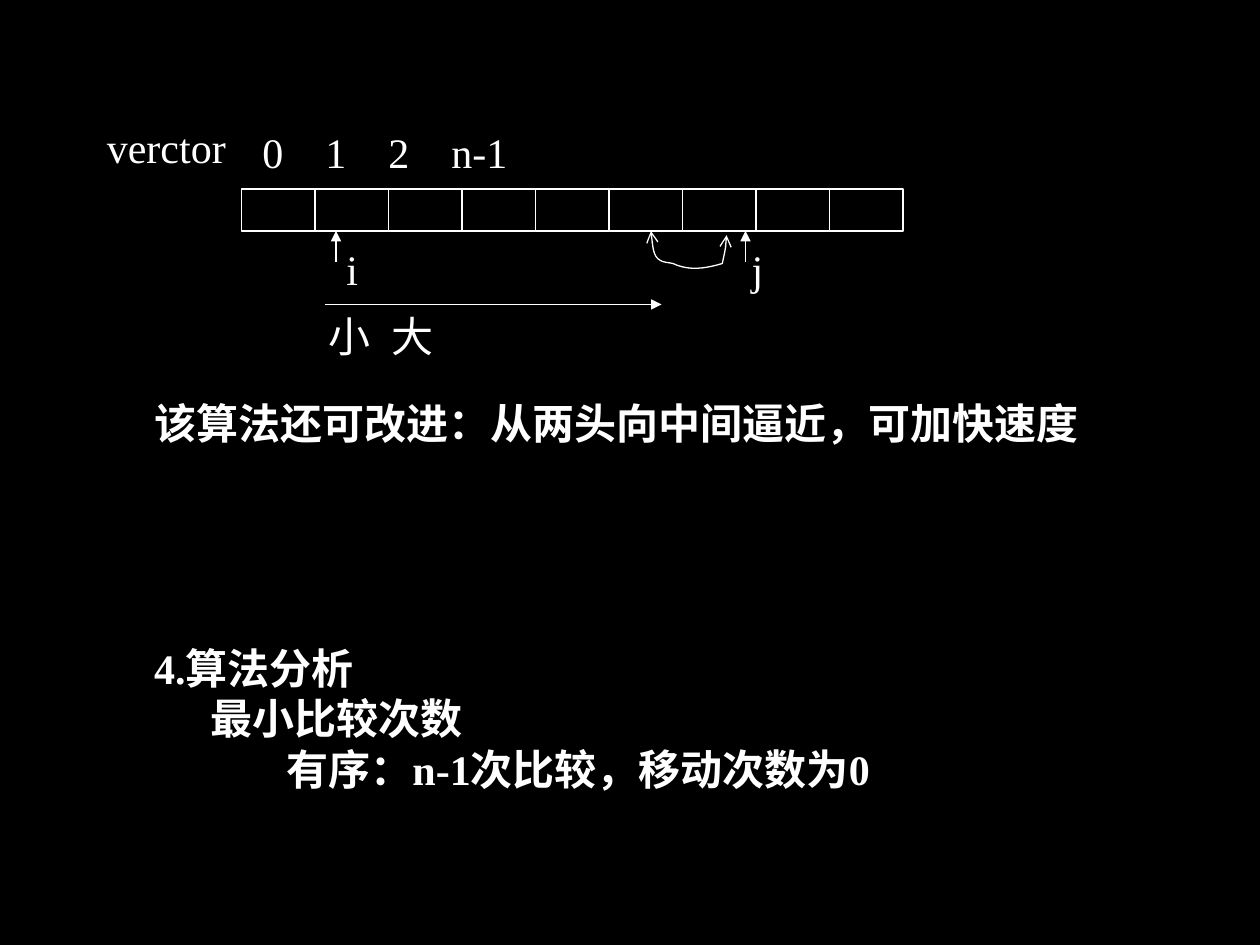
from dataclasses import dataclass
from pptx import Presentation
from pptx.dml.color import RGBColor
from pptx.enum.shapes import MSO_CONNECTOR as Conn, MSO_SHAPE as Kind
from pptx.enum.text import MSO_AUTO_SIZE as Fit
from pptx.oxml.xmlchemy import OxmlElement as Node
from pptx.util import Inches, Pt

WIDE, HIGH = Inches(10), Inches(7.5)
COLS, ROWS = 120, 90
INK, BACK = "FFFFFF", "000000"
FONT = {"name": "Times New Roman", "size": Pt(24)}


@dataclass
class Line:
    """One paragraph with its indent and tab stops, in columns."""
    text: str
    dent: float = 0
    tabs: tuple = ()


@dataclass
class Label:
    """A text box placed on the grid."""
    col: float
    row: float
    wide: float
    lines: list
    high: float = 6
    bold: bool = False


@dataclass
class Arrow:
    """A straight arrow between two grid points."""
    start: tuple
    end: tuple


LABELS = [
    Label(9, 11, 13.7, [Line("verctor")]),
    Label(23.8, 11.5, 51.7, [Line("0\t1\t2\tn-1", tabs=(7, 15, 41))]),
    Label(31.8, 22.6, 3.5, [Line("i")]),
    Label(70.4, 22.6, 3.5, [Line("j")]),
    Label(30.1, 29, 34.8, [Line("小\t大", tabs=(28.4,))]),
    Label(13.5, 37.3, 90.4, [Line("该算法还可改进：从两头向中间逼近，可加快速度")], bold=True),
    Label(13.5, 60.6, 85.6, [
        Line("4.算法分析"),
        Line("最小比较次数", 5.4),
        Line("有序：n-1次比较，移动次数为0", 12.6),
    ], 15.6, True),
]
ARROWS = [
    Arrow((31, 29), (63, 29)),
    Arrow((32, 25), (32, 22)),
    Arrow((71, 25), (71, 22)),
]
SWAP = [
    ((62, 22), (62.2, 22.7), (62, 24.4), (62.9, 24.8)),
    ((62.9, 24.8), (63.2, 25), (63.7, 25), (64.1, 25.1)),
    ((64.1, 25.1), (65.6, 25.8), (67.1, 25.6), (68.8, 25.1)),
    ((68.8, 25.1), (69, 24.1), (69.2, 23.4), (69.2, 22.4)),
]


def hue(code: str) -> RGBColor:
    """Turn a hex string into a colour."""
    return RGBColor.from_string(code)


def across(col: float) -> int:
    """Length of some grid columns."""
    return round(WIDE * col / COLS)


def down(row: float) -> int:
    """Length of some grid rows."""
    return round(HIGH * row / ROWS)


def style(item, **ends: str) -> None:
    """Give an item a thin line, optional arrowheads and no shadow."""
    item.line.color.rgb = hue(INK)
    item.line.width = Pt(0.75)
    pen = item.line._get_or_add_ln()
    for name, head in ends.items():
        tip = Node(f"a:{name}")
        tip.set("type", head)
        pen.append(tip)
    item._element.spPr.append(Node("a:effectLst"))


def write(slide, label: Label) -> None:
    """Draw a text box with its paragraphs."""
    box = slide.shapes.add_textbox(
        across(label.col), down(label.row), across(label.wide), down(label.high))
    frame = box.text_frame
    frame.word_wrap = False
    frame.auto_size = Fit.SHAPE_TO_FIT_TEXT
    for num, line in enumerate(label.lines):
        para = frame.add_paragraph() if num else frame.paragraphs[0]
        props = para._p.get_or_add_pPr()
        props.set("marL", str(across(line.dent)))
        props.set("indent", "0")
        if line.tabs:
            stops = Node("a:tabLst")
            for col in line.tabs:
                stop = Node("a:tab")
                stop.set("pos", str(across(col)))
                stop.set("algn", "l")
                stops.append(stop)
            props.append(stops)
        run = para.add_run()
        run.text = line.text
        for key, val in {**FONT, "bold": label.bold}.items():
            setattr(run.font, key, val)
        run.font.color.rgb = hue(INK)


def cell(slide, num: int) -> None:
    """Draw one cell of the array."""
    box = slide.shapes.add_shape(
        Kind.RECTANGLE, across(23 + 7 * num), down(18), across(7), down(4))
    box.fill.background()
    style(box)


def point(slide, arrow: Arrow) -> None:
    """Draw a straight arrow."""
    (left, top), (right, low) = arrow.start, arrow.end
    link = slide.shapes.add_connector(
        Conn.STRAIGHT, across(left), down(top), across(right), down(low))
    style(link, tailEnd="triangle")


def bend(slide, parts: list, steps: int = 10) -> None:
    """Draw a two-headed curve through cubic parts."""
    spots = []
    for part in parts:
        for num in range(1, steps + 1):
            t = num / steps
            u = 1 - t
            mix = (u ** 3, 3 * u * u * t, 3 * u * t * t, t ** 3)
            col, row = (sum(m * p[axis] for m, p in zip(mix, part)) for axis in (0, 1))
            spots.append((across(col), down(row)))
    col, row = parts[0][0]
    pen = slide.shapes.build_freeform(across(col), down(row))
    pen.add_line_segments(spots, close=False)
    curve = pen.convert_to_shape()
    curve.fill.background()
    style(curve, headEnd="arrow", tailEnd="arrow")


def main() -> None:
    """Build and save the slide."""
    deck = Presentation()
    deck.slide_width, deck.slide_height = WIDE, HIGH
    slide = deck.slides.add_slide(deck.slide_layouts[6])
    slide.background.fill.solid()
    slide.background.fill.fore_color.rgb = hue(BACK)
    for num in range(9):
        cell(slide, num)
    for arrow in ARROWS:
        point(slide, arrow)
    bend(slide, SWAP)
    for label in LABELS:
        write(slide, label)
    deck.save("out.pptx")


if __name__ == "__main__":
    main()
